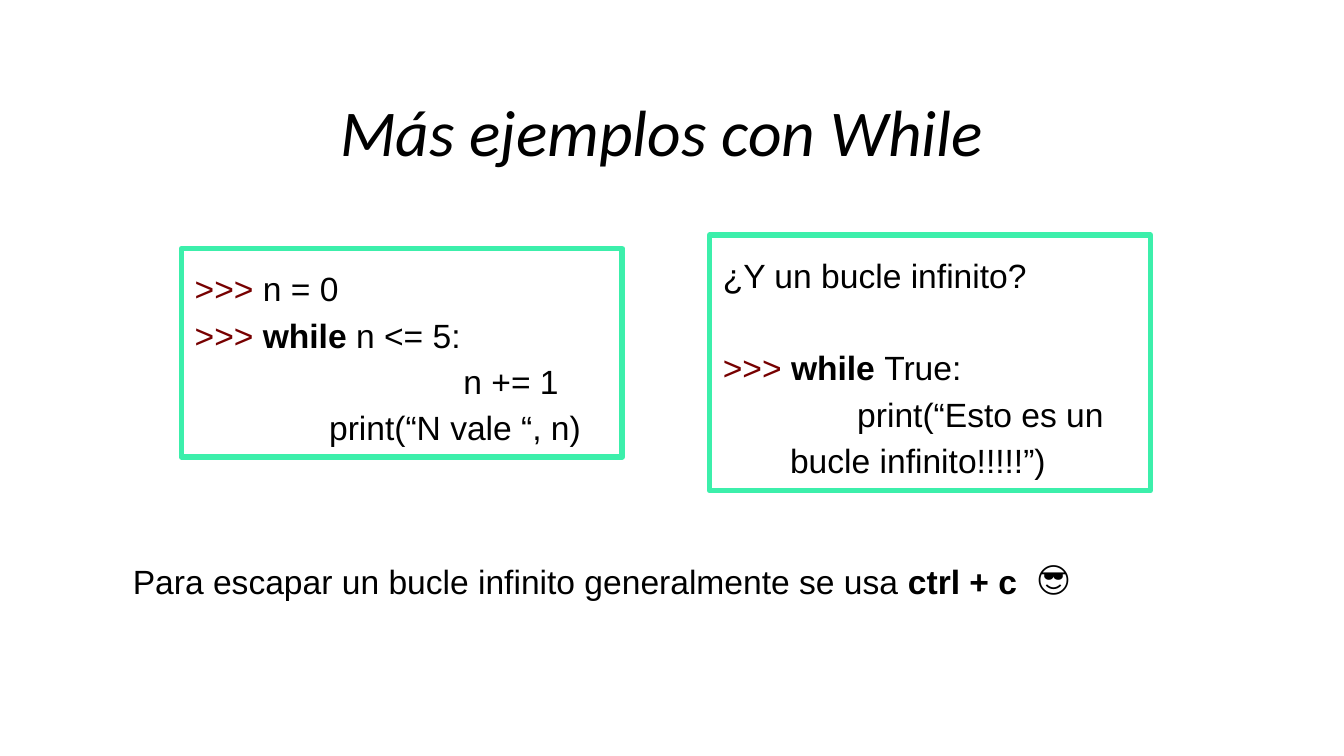
import pptx
import pptx.dml.color
import pptx.enum.shapes
import pptx.enum.text
import pptx.util

Inches = pptx.util.Inches
Pt = pptx.util.Pt
RGBColor = pptx.dml.color.RGBColor
Anchor = pptx.enum.text.MSO_ANCHOR
Align = pptx.enum.text.PP_ALIGN

BLACK = RGBColor(0x00, 0x00, 0x00)
PROMPT_RED = RGBColor(0x77, 0x00, 0x00)
MINT = RGBColor(0x3C, 0xEF, 0xAB)

WIDTH = 10
HEIGHT = WIDTH * 9 / 16
CODE_LEFT, CODE_STEP, CODE_WIDTH = 1.35, 3.93, 3.28
LINE_SPACING = 1.15
LINE_PITCH = 24.8

PROMPT = (">>>", {"color": PROMPT_RED})
WHILE = ("while ", {"bold": True})

TITLE = [{"runs": [("Más ejemplos con While", {"italic": True})]}]
ESCAPE_TIP = [{"runs": [
    ("Para escapar un bucle infinito generalmente se usa ", {}),
    ("ctrl + c", {"bold": True}),
]}]
EMOJI = [{"runs": [("😎", {})]}]

CODE_BOXES = [
    {"top": 1.85, "height": 1.55, "lines": [
        {"runs": [PROMPT, (" n = 0", {})]},
        {"runs": [PROMPT, (" ", {}), WHILE, ("n <= 5:", {})]},
        {"runs": [("n += 1", {})], "margin": 2},
        {"runs": [("print(“N vale “, n)", {})], "margin": 0.5, "indent": 0.5},
    ]},
    {"top": 1.75, "height": 1.9, "lines": [
        {"runs": [("¿Y un bucle infinito?", {})]},
        {"runs": [PROMPT, (" ", {}), WHILE, ("True:", {})], "before": LINE_PITCH},
        {"runs": [("print(“Esto es un bucle infinito!!!!!”)", {})],
         "margin": 0.5, "indent": 0.5},
    ]},
]


def write(shape, lines, font, size, align=Align.LEFT, anchor=Anchor.TOP, spacing=1.0):
    frame = shape.text_frame
    frame.word_wrap = True
    frame.vertical_anchor = anchor
    frame.margin_left = frame.margin_right = Inches(0.1)
    frame.margin_top = frame.margin_bottom = Inches(0.1)
    for index, line in enumerate(lines):
        paragraph = frame.paragraphs[0] if index == 0 else frame.add_paragraph()
        paragraph.alignment = align
        paragraph.line_spacing = spacing
        if "before" in line:
            paragraph.space_before = Pt(line["before"])
        if "margin" in line:
            properties = paragraph._p.get_or_add_pPr()
            properties.set("marL", str(Inches(line["margin"])))
            properties.set("indent", str(Inches(line.get("indent", 0))))
        for words, style in line["runs"]:
            run = paragraph.add_run()
            run.text = words
            run.font.name = font
            run.font.size = Pt(size)
            run.font.bold = style.get("bold", False)
            run.font.italic = style.get("italic", False)
            run.font.color.rgb = style.get("color", BLACK)


def add_text(slide, box, lines, font, size, **layout):
    write(slide.shapes.add_textbox(*map(Inches, box)), lines, font, size, **layout)


def add_code_box(slide, column, code):
    box = (CODE_LEFT + column * CODE_STEP, code["top"], CODE_WIDTH, code["height"])
    frame = slide.shapes.add_shape(
        pptx.enum.shapes.MSO_SHAPE.RECTANGLE, *map(Inches, box))
    frame.shadow.inherit = False
    frame.fill.background()
    frame.line.color.rgb = MINT
    frame.line.width = Pt(3)
    write(frame, code["lines"], "Arial", 18, spacing=LINE_SPACING)


def main():
    deck = pptx.Presentation()
    deck.slide_width, deck.slide_height = Inches(WIDTH), Inches(HEIGHT)
    slide = deck.slides.add_slide(deck.slide_layouts[6])
    add_text(slide, (0.89, 4.03, 7.17, 0.79), ESCAPE_TIP, "Arial", 18,
             spacing=LINE_SPACING)
    add_text(slide, (1.9, 0.43, 6.05, 1.08), TITLE, "Calibri", 35,
             align=Align.CENTER, anchor=Anchor.MIDDLE)
    for column, code in enumerate(CODE_BOXES):
        add_code_box(slide, column, code)
    add_text(slide, (7.62, 4.03, 0.91, 0.52), EMOJI, "Calibri", 19)
    deck.save("out.pptx")


if __name__ == "__main__":
    main()
